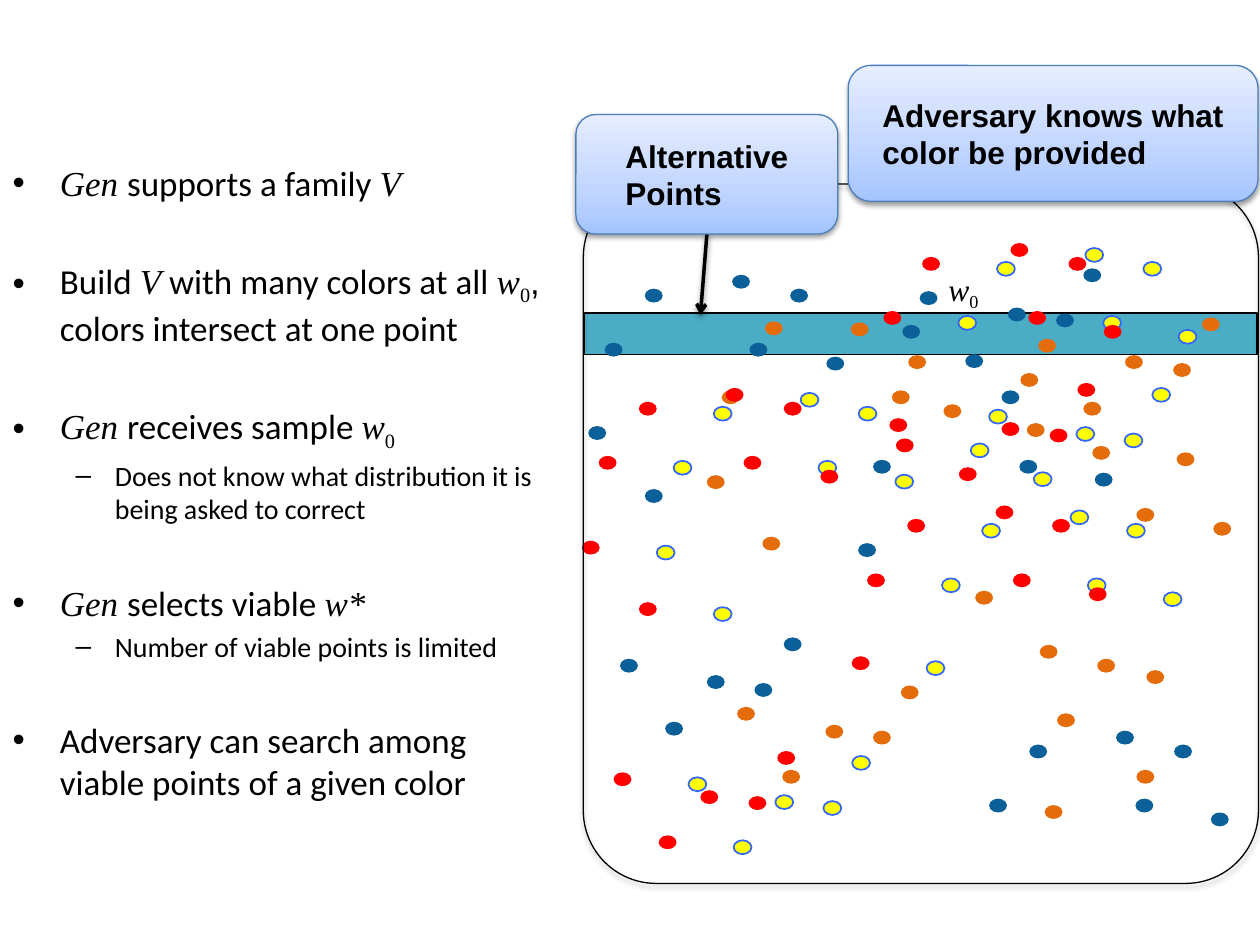
from copy import deepcopy
from dataclasses import dataclass

from lxml import etree
from pptx import Presentation
from pptx.dml.color import RGBColor
from pptx.enum.shapes import MSO_CONNECTOR, MSO_SHAPE
from pptx.enum.text import MSO_ANCHOR, MSO_AUTO_SIZE, PP_ALIGN
from pptx.oxml.ns import qn
from pptx.util import Cm, Pt

OVAL = MSO_SHAPE.OVAL
RECTANGLE = MSO_SHAPE.RECTANGLE
ROUNDED = MSO_SHAPE.ROUNDED_RECTANGLE
STRAIGHT = MSO_CONNECTOR.STRAIGHT
MIDDLE = MSO_ANCHOR.MIDDLE
LEFT = PP_ALIGN.LEFT
NO_AUTOFIT = MSO_AUTO_SIZE.NONE
FIT_SHAPE = MSO_AUTO_SIZE.SHAPE_TO_FIT_TEXT


@dataclass(frozen=True)
class Theme:
    black: RGBColor = RGBColor.from_string("000000")
    band: RGBColor = RGBColor.from_string("4BACC6")
    blue: RGBColor = RGBColor.from_string("0B609A")
    yellow: RGBColor = RGBColor.from_string("FFFF00")
    yellow_edge: RGBColor = RGBColor.from_string("3366FF")
    orange: RGBColor = RGBColor.from_string("E46C0A")
    red: RGBColor = RGBColor.from_string("FF0000")
    callout_edge: RGBColor = RGBColor.from_string("4B7EBC")
    callout_stops: tuple = ((0, "A4C4FF"), (0.35, "BFD4FF"), (1, "E6EEFF"))
    body: str = "Calibri"
    maths: str = "Times New Roman"
    label: str = "Arial"
    body_size: Pt = Pt(20)
    detail_size: Pt = Pt(16)
    label_size: Pt = Pt(18)


theme = Theme()


def add_shadow(shape, opacity, distance):
    properties = shape._element.spPr
    for old_effects in properties.findall(qn("a:effectLst")):
        properties.remove(old_effects)
    effects = etree.SubElement(properties, qn("a:effectLst"))
    shadow = etree.SubElement(effects, qn("a:outerShdw"), blurRad=str(Pt(3.1)),
                              dist=str(Pt(distance)), dir="5400000", rotWithShape="0")
    colour = etree.SubElement(shadow, qn("a:srgbClr"), val=str(theme.black))
    etree.SubElement(colour, qn("a:alpha"), val=str(opacity * 1000))


def add_runs(paragraph, pieces, size):
    for text, style in pieces:
        if style == "break":
            paragraph.add_line_break()
            continue
        run = paragraph.add_run()
        run.text = text
        run.font.size = size
        run.font.color.rgb = theme.black
        run.font.name = {"text": theme.body, "comma": theme.label}.get(style, theme.maths)
        run.font.italic = style == "variable"
        if style == "subscript":
            run._r.get_or_add_rPr().set("baseline", "-25000")


presentation = Presentation()
presentation.slide_width, presentation.slide_height = Cm(25.4), Cm(19.05)
slide = presentation.slides.add_slide(presentation.slide_layouts[1])
title = slide.shapes.title
title._element.getparent().remove(title._element)

band = slide.shapes.add_shape(RECTANGLE, Cm(18.14), Cm(-0.05), Cm(0.84), Cm(13.56))
band.rotation = 90
band.shadow.inherit = False
band.fill.solid()
band.fill.fore_color.rgb = theme.band
band.line.color.rgb = theme.black
band.line.width = Pt(1)

blue_points = [
    (17.3, 10.95), (17.6, 9.27), (20.19, 7.87), (22.07, 9.53), (20.55, 9.27), (11.86, 8.59),
    (12.19, 6.91), (15.93, 5.82), (13.41, 14.55), (12.5, 13.28), (14.76, 5.54), (16.66, 7.19),
    (14.25, 13.61), (15.8, 12.85), (15.11, 6.91), (13, 9.86), (15.21, 13.77), (13, 5.82),
    (19.46, 7.14), (18.54, 5.87), (20.32, 6.2), (21.84, 5.41), (18.19, 6.55), (21.29, 6.32),
    (19.94, 16.1), (23.67, 15.01), (22.5, 14.73), (24.41, 16.38), (22.89, 16.1), (20.75, 15.01),
]
orange_points = [
    (19.66, 11.91), (23.72, 9.12), (22.02, 8.99), (24.46, 10.52), (22.91, 10.24), (20.7, 8.53),
    (14.25, 9.58), (14.55, 7.87), (18.31, 7.16), (15.77, 15.52), (14.86, 14.25), (17.15, 6.5),
    (19.02, 8.15), (16.64, 14.61), (18.16, 13.82), (17.98, 7.87), (15.37, 10.82), (17.6, 14.73),
    (15.42, 6.48), (21.84, 8.1), (20.93, 6.83), (22.68, 7.16), (24.23, 6.4), (20.57, 7.52),
    (23.65, 7.32), (21.06, 16.23), (22.12, 13.28), (20.96, 13), (23.11, 13.51), (21.31, 14.38),
    (22.91, 15.52),
]
red_points = [
    (17.17, 13.23), (17.48, 11.56), (21.21, 10.46), (20.07, 10.19), (21.95, 11.84),
    (20.42, 11.56), (18.29, 10.46), (11.73, 10.9), (12.07, 9.19), (15.8, 8.1), (13.28, 16.84),
    (12.37, 15.57), (14.63, 7.82), (16.54, 9.47), (14.12, 15.93), (15.67, 15.14), (14.99, 9.19),
    (12.88, 12.14), (15.09, 16.05), (12.88, 8.1), (19.33, 9.42), (17.93, 8.43), (20.19, 8.51),
    (21.72, 7.72), (18.06, 8.84), (21.16, 8.64), (17.81, 6.27), (21.54, 5.18), (20.37, 4.9),
    (22.25, 6.55), (20.73, 6.27), (18.59, 5.18),
]
yellow_points = [(x + 1.51, y + 0.1) for x, y in red_points]
yellow_points[21] = (19.94, 8.26)

for points, colour, edge in (
    (blue_points, theme.blue, None),
    (yellow_points, theme.yellow, theme.yellow_edge),
    (orange_points, theme.orange, None),
    (red_points, theme.red, None),
):
    group = slide.shapes.add_group_shape()
    for x, y in points:
        dot = group.shapes.add_shape(OVAL, Cm(x), Cm(y), Cm(0.36), Cm(0.28))
        dot.shadow.inherit = False
        dot.fill.solid()
        dot.fill.fore_color.rgb = colour
        if edge is None:
            dot.line.fill.background()
        else:
            dot.line.color.rgb = edge
            dot.line.width = Pt(1)

arrow = slide.shapes.add_connector(STRAIGHT, Cm(14.25), Cm(4.72), Cm(14.12), Cm(6.35))
arrow.line.color.rgb = theme.black
arrow.line.width = Pt(2)
etree.SubElement(arrow.line._get_or_add_ln(), qn("a:tailEnd"), type="arrow")
add_shadow(arrow, 38, 1.6)

space = slide.shapes.add_shape(ROUNDED, Cm(11.76), Cm(3.71), Cm(13.61), Cm(14.1))
space.adjustments[0] = 0.108
space.fill.background()
space.line.color.rgb = theme.black
space.line.width = Pt(0.75)
add_shadow(space, 35, 1.8)

for text, left, top, width, height in (
    ("Adversary knows what color be provided", 17.1, 1.32, 8.26, 2.74),
    ("Alternative Points", 11.61, 2.31, 5.28, 2.41),
):
    callout = slide.shapes.add_shape(ROUNDED, Cm(left), Cm(top), Cm(width), Cm(height))
    callout.fill.gradient()
    callout.fill.gradient_angle = 90
    stop_list = callout._element.spPr.find(".//" + qn("a:gsLst"))
    stop_list.insert(1, deepcopy(stop_list[0]))
    for stop, (position, colour) in zip(callout.fill.gradient_stops, theme.callout_stops):
        stop.position = position
        stop.color.rgb = RGBColor.from_string(colour)
    callout.line.color.rgb = theme.callout_edge
    callout.line.width = Pt(0.75)
    add_shadow(callout, 38, 1.6)
    frame = callout.text_frame
    frame.word_wrap = True
    frame.vertical_anchor = MIDDLE
    frame.margin_left = frame.margin_right = frame.margin_top = frame.margin_bottom = Cm(0.13)
    frame._txBody.bodyPr.set("anchorCtr", "1")
    frame.text = text
    paragraph = frame.paragraphs[0]
    paragraph.alignment = LEFT
    paragraph.font.name = theme.label
    paragraph.font.size = theme.label_size
    paragraph.font.bold = True
    paragraph.font.color.rgb = theme.black

sample = [("w", "variable"), ("0", "subscript")]
sample_label = slide.shapes.add_textbox(Cm(18.87), Cm(5.31), Cm(1.24), Cm(1.02))
sample_label.text_frame.word_wrap = False
sample_label.text_frame.auto_size = FIT_SHAPE
add_runs(sample_label.text_frame.paragraphs[0], sample, theme.label_size)

body = slide.placeholders[1]
body.left, body.top, body.width, body.height = Cm(0), Cm(3.12), Cm(11.28), Cm(15.19)
body.text_frame.auto_size = NO_AUTOFIT
points = [
    (0, [("Gen ", "variable"), ("supports a family ", "text"), ("V", "variable")]),
    (0, [("Build ", "text"), ("V", "variable"), (" with many colors at all ", "text"), *sample,
         (",", "comma"), ("", "break"), ("colors intersect at one point", "text")]),
    (0, [("Gen ", "variable"), ("receives sample ", "text"), *sample]),
    (1, [("Does not know what distribution it is being asked to correct", "text")]),
    (0, [("Gen ", "variable"), ("selects viable ", "text"), ("w*", "variable")]),
    (1, [("Number of viable points is limited", "text")]),
    (0, [("Adversary can search among viable points of a given color", "text")]),
]
for index, (level, pieces) in enumerate(points):
    paragraph = body.text_frame.paragraphs[0] if index == 0 else body.text_frame.add_paragraph()
    paragraph.level = level
    paragraph.space_before = Pt(0 if index == 0 else 3.2 if level else 32)
    add_runs(paragraph, pieces, theme.detail_size if level else theme.body_size)

presentation.save("out.pptx")
